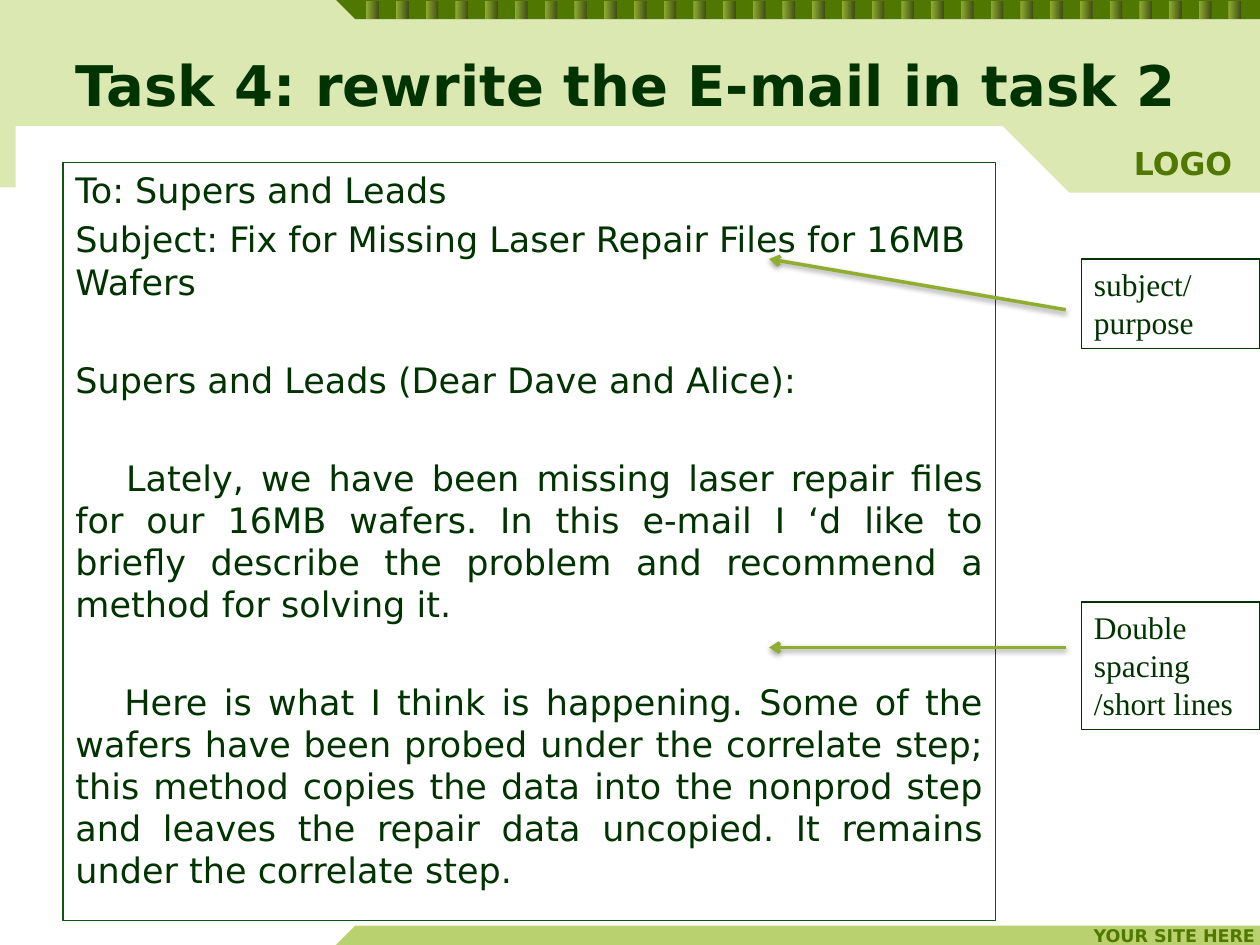
from dataclasses import dataclass
from lxml.etree import SubElement
from pptx import Presentation
from pptx.dml.color import RGBColor
from pptx.enum.shapes import MSO_CONNECTOR, MSO_SHAPE
from pptx.enum.text import MSO_ANCHOR, MSO_AUTO_SIZE, PP_ALIGN
from pptx.oxml import parse_xml
from pptx.oxml.ns import qn
from pptx.util import Pt


@dataclass
class Theme:
    dark: RGBColor = RGBColor.from_string("003300")
    border: RGBColor = RGBColor.from_string("135113")
    green: RGBColor = RGBColor.from_string("507800")
    pale: RGBColor = RGBColor.from_string("DBE8B2")
    light: RGBColor = RGBColor.from_string("BAD16F")
    accent: RGBColor = RGBColor.from_string("8FAD2F")
    olive: RGBColor = RGBColor.from_string("425016")
    sans: str = "DejaVu Sans"
    serif: str = "Times New Roman"
    title_size: int = 32
    body_size: int = 20
    note_size: int = 18
    site_size: int = 10


def apply(target, values):
    for name, value in values.items():
        setattr(target, name, value)


def write(shape, rows, size, font_name, color, bold=False, inset=(7.2, 3.6), anchor=MSO_ANCHOR.TOP):
    frame = shape.text_frame
    horizontal, vertical = map(Pt, inset)
    apply(frame, {
        "word_wrap": True, "auto_size": MSO_AUTO_SIZE.NONE, "vertical_anchor": anchor,
        "margin_left": horizontal, "margin_right": horizontal,
        "margin_top": vertical, "margin_bottom": vertical,
    })
    for index, (text, alignment, space, indent) in enumerate(rows):
        paragraph = frame.add_paragraph() if index else frame.paragraphs[0]
        apply(paragraph, {"alignment": alignment, "space_before": Pt(space)})
        if indent:
            paragraph._p.get_or_add_pPr().set("indent", str(Pt(indent)))
        run = paragraph.add_run()
        run.text = text
        apply(run.font, {"size": Pt(size), "name": font_name, "bold": bold})
        run.font.color.rgb = color


theme = Theme()
presentation = Presentation()
apply(presentation, {"slide_width": Pt(720), "slide_height": Pt(540)})
slide = presentation.slides.add_slide(presentation.slide_layouts[5])
shapes = slide.shapes

bands = [
    (theme.light, [(192, 540), (203, 529), (720, 529), (720, 540)]),
    (theme.pale, [(0, 107), (9, 107), (9, 72), (573, 72), (611, 110), (720, 110), (720, 0), (0, 0)]),
    (theme.green, [(192, 0), (203, 11), (720, 11), (720, 0)]),
]
for color, points in bands:
    corners = [(Pt(x), Pt(y)) for x, y in points]
    builder = shapes.build_freeform(*corners[0])
    builder.add_line_segments(corners[1:], close=True)
    band = builder.convert_to_shape()
    band.shadow.inherit = False
    band.fill.solid()
    band.fill.fore_color.rgb = color
    band.line.fill.background()

for index in range(30):
    stripe = shapes.add_shape(MSO_SHAPE.RECTANGLE, Pt(209.3 + 16.99 * index), Pt(0.5), Pt(7.2), Pt(10.5))
    stripe.shadow.inherit = False
    stripe.fill.gradient()
    stripe.fill.gradient_angle = 0
    for stop, position, color in zip(stripe.fill.gradient_stops, (0, 1), (theme.accent, theme.olive)):
        stop.position = position
        stop.color.rgb = color
    stripe.line.fill.background()

labels = [
    ("YOUR SITE HERE", (615.5, 527.8, 103, 13.7), theme.site_size, PP_ALIGN.RIGHT, MSO_ANCHOR.TOP),
    ("LOGO", (630.7, 77.8, 90.7, 30.2), theme.note_size, PP_ALIGN.CENTER, MSO_ANCHOR.MIDDLE),
]
for text, bounds, size, alignment, anchor in labels:
    label = shapes.add_textbox(*map(Pt, bounds))
    write(label, [(text, alignment, 0, 0)], size, theme.sans, theme.green, True, (1.44, 0.72), anchor)

title = shapes.title
title.element.getparent().append(title.element)
apply(title, {"left": Pt(36), "top": Pt(24), "width": Pt(670), "height": Pt(48)})
write(title, [("Task 4: rewrite the E-mail in task 2", PP_ALIGN.LEFT, 0, 0)],
      theme.title_size, theme.sans, theme.dark, True, anchor=MSO_ANCHOR.MIDDLE)

email_rows = [
    ("To: Supers and Leads", PP_ALIGN.LEFT, 4, 0),
    ("Subject: Fix for Missing Laser Repair Files for 16MB Wafers", PP_ALIGN.LEFT, 4, 0),
    ("Supers and Leads (Dear Dave and Alice):", PP_ALIGN.LEFT, 32, 0),
    ("Lately, we have been missing laser repair files for our 16MB wafers. In this e-mail I ‘d like to "
     "briefly describe the problem and recommend a method for solving it.", PP_ALIGN.JUSTIFY, 32, 29),
    ("Here is what I think is happening. Some of the wafers have been probed under the correlate step; "
     "this method copies the data into the nonprod step and leaves the repair data uncopied. "
     "It remains under the correlate step.", PP_ALIGN.JUSTIFY, 32, 28),
]
boxes = [
    ((36, 93, 533, 433), email_rows, theme.body_size, theme.sans, theme.border),
    ((618, 344, 102, 73), [("Double spacing /short lines", PP_ALIGN.LEFT, 0, 0)],
     theme.note_size, theme.serif, theme.dark),
    ((618, 148, 102, 51), [("subject/purpose", PP_ALIGN.LEFT, 0, 0)],
     theme.note_size, theme.serif, theme.dark),
]
for bounds, rows, size, font_name, border in boxes:
    box = shapes.add_textbox(*map(Pt, bounds))
    box.line.color.rgb = border
    box.line.width = Pt(0.75)
    write(box, rows, size, font_name, theme.dark)

for start, end in [((609, 370), (439.5, 370)), ((609, 177), (439.5, 148))]:
    arrow = shapes.add_connector(MSO_CONNECTOR.STRAIGHT, *map(Pt, start + end))
    arrow.line.color.rgb = theme.accent
    arrow.line.width = Pt(2)
    SubElement(arrow.line._get_or_add_ln(), qn("a:tailEnd"), type="arrow")
    arrow.element.spPr.append(parse_xml(
        '<a:effectLst xmlns:a="http://schemas.openxmlformats.org/drawingml/2006/main">'
        '<a:outerShdw blurRad="40000" dist="20000" dir="5400000" rotWithShape="0">'
        '<a:srgbClr val="000000"><a:alpha val="38000"/></a:srgbClr>'
        '</a:outerShdw></a:effectLst>'))

presentation.save("out.pptx")
